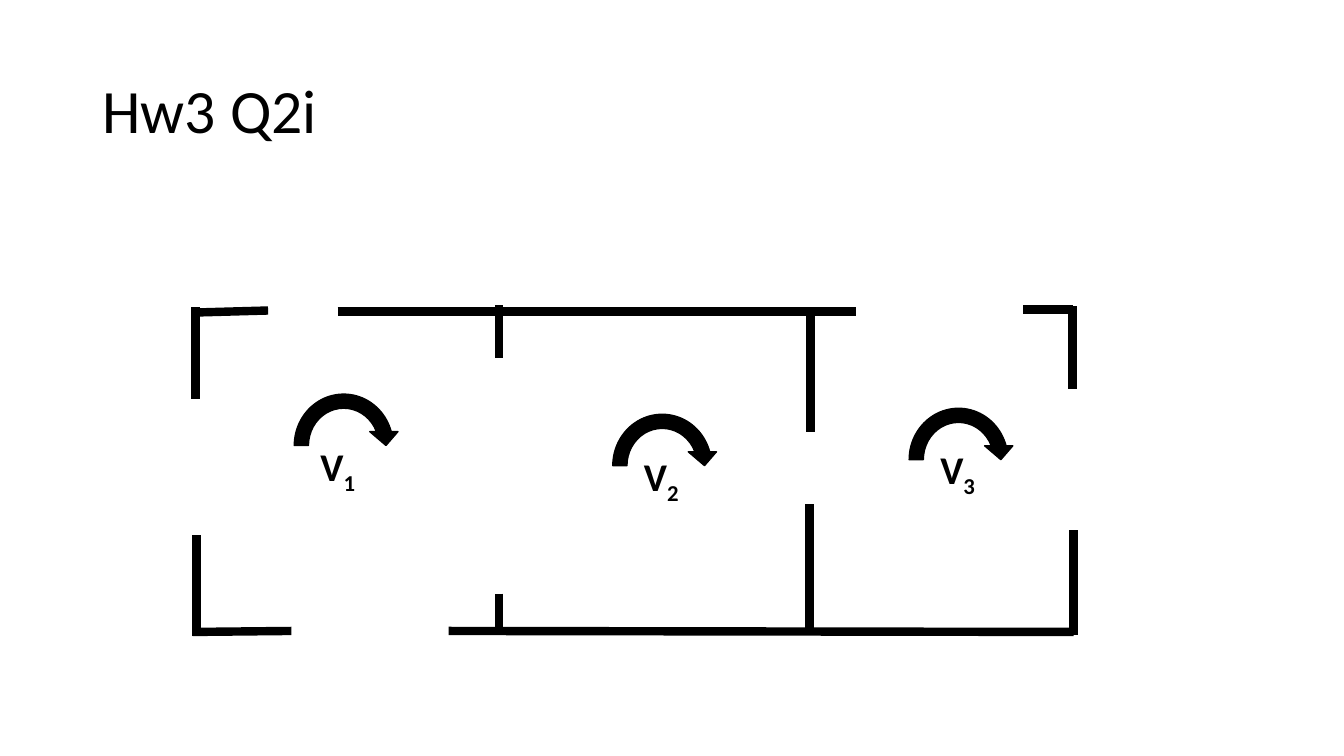
from pptx import Presentation
from pptx.dml.color import RGBColor
from pptx.enum.shapes import MSO_CONNECTOR as Connector, MSO_SHAPE as Shape
from pptx.enum.text import MSO_ANCHOR as Anchor, PP_ALIGN as Align
from pptx.oxml.ns import qn
from pptx.util import Pt
from lxml.etree import SubElement

INK = "000000"
FONT = "Calibri"
WALL_WIDTH = 6

WALLS = [
    (0.4, 1.2, 51.5, -0.2),
    (101.2, 0.5, 471.3, 0.5),
    (590.8, -1, 626.1, -1),
    (-2.5, 229.4, 68.1, 228.7),
    (180.4, 228.7, 626.8, 229.4),
    (-0.3, -2.4, -0.3, 63.1),
    (0.4, 160.3, 0.4, 232.3),
    (216.4, -3.8, 216.4, 33.6),
    (216.4, 202.1, 216.4, 230.9),
    (438.9, 1.9, 438.9, 86.9),
    (438.2, 138, 438.2, 228.7),
    (626.1, -3.1, 626.1, 55.9),
    (626.8, 156.7, 626.8, 231.6),
]
LOOPS = [
    ("1", 65.2, 54.5, 16.6, 36),
    ("2", 292.7, 68.9, 20.2, 28.8),
    ("3", 504.4, 64.6, 20.2, 28),
]


def color(value):
    return RGBColor.from_string(value)


def add_text(para, text, size, bold=False, baseline=None):
    span = para.add_run()
    span.text = text
    span.font.name = FONT
    span.font.size = Pt(size)
    span.font.bold = bold
    span.font.color.rgb = color(INK)
    if baseline is not None:
        span._r.get_or_add_rPr().set("baseline", str(baseline))


def place_title(page, text, left, top, width, height):
    title = page.shapes.title
    title.left, title.top = Pt(left), Pt(top)
    title.width, title.height = Pt(width), Pt(height)
    frame = title.text_frame
    frame.word_wrap = True
    frame.vertical_anchor = Anchor.MIDDLE
    para = frame.paragraphs[0]
    para.alignment = Align.LEFT
    para.line_spacing = 0.9
    add_text(para, text, size=44)


def add_wall(page, x1, y1, x2, y2):
    wall = page.shapes.add_connector(Connector.STRAIGHT, Pt(x1), Pt(y1), Pt(x2), Pt(y2))
    wall.line.color.rgb = color(INK)
    wall.line.width = Pt(WALL_WIDTH)
    SubElement(wall._element.spPr, qn("a:effectLst"))


def add_loop(page, number, left, top, label_dx, label_dy):
    arrow = page.shapes.add_shape(Shape.CIRCULAR_ARROW, Pt(left), Pt(top), Pt(80.6), Pt(83.5))
    arrow.shadow.inherit = False
    arrow.fill.solid()
    arrow.fill.fore_color.rgb = color(INK)
    arrow.line.color.rgb = color(INK)
    arrow.line.width = Pt(1)
    label = page.shapes.add_textbox(Pt(left + label_dx), Pt(top + label_dy), Pt(41), Pt(41))
    label.text_frame.word_wrap = True
    para = label.text_frame.paragraphs[0]
    add_text(para, "V", size=28, bold=True)
    add_text(para, number, size=28, bold=True, baseline=-25000)


def draw_floor_plan(page, left, top):
    for x1, y1, x2, y2 in WALLS:
        add_wall(page, left + x1, top + y1, left + x2, top + y2)
    for number, x, y, label_dx, label_dy in LOOPS:
        add_loop(page, number, left + x, top + y, label_dx, label_dy)


def main():
    deck = Presentation()
    deck.slide_width, deck.slide_height = Pt(960), Pt(540)
    page = deck.slides.add_slide(deck.slide_layouts[5])
    place_title(page, "Hw3 Q2i", left=66, top=28.8, width=828, height=104.4)
    draw_floor_plan(page, left=140, top=222)
    deck.save("out.pptx")


if __name__ == "__main__":
    main()
